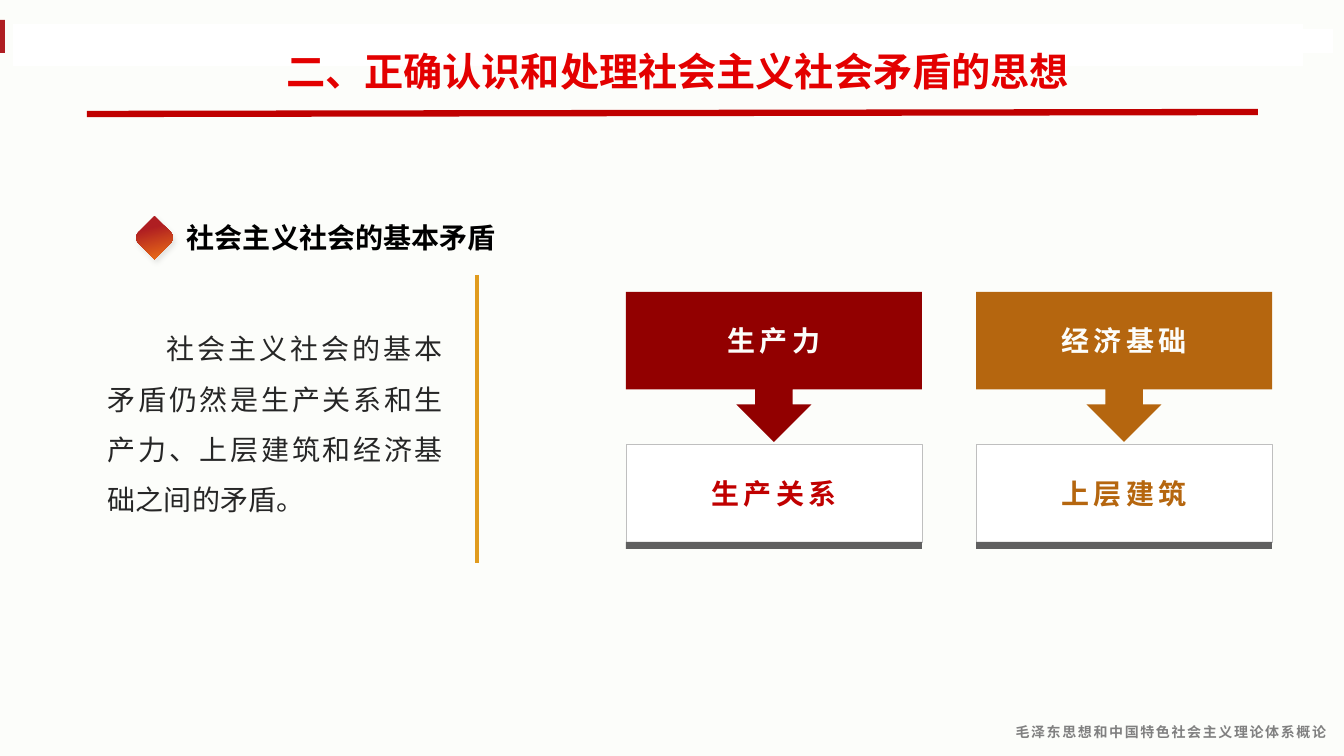
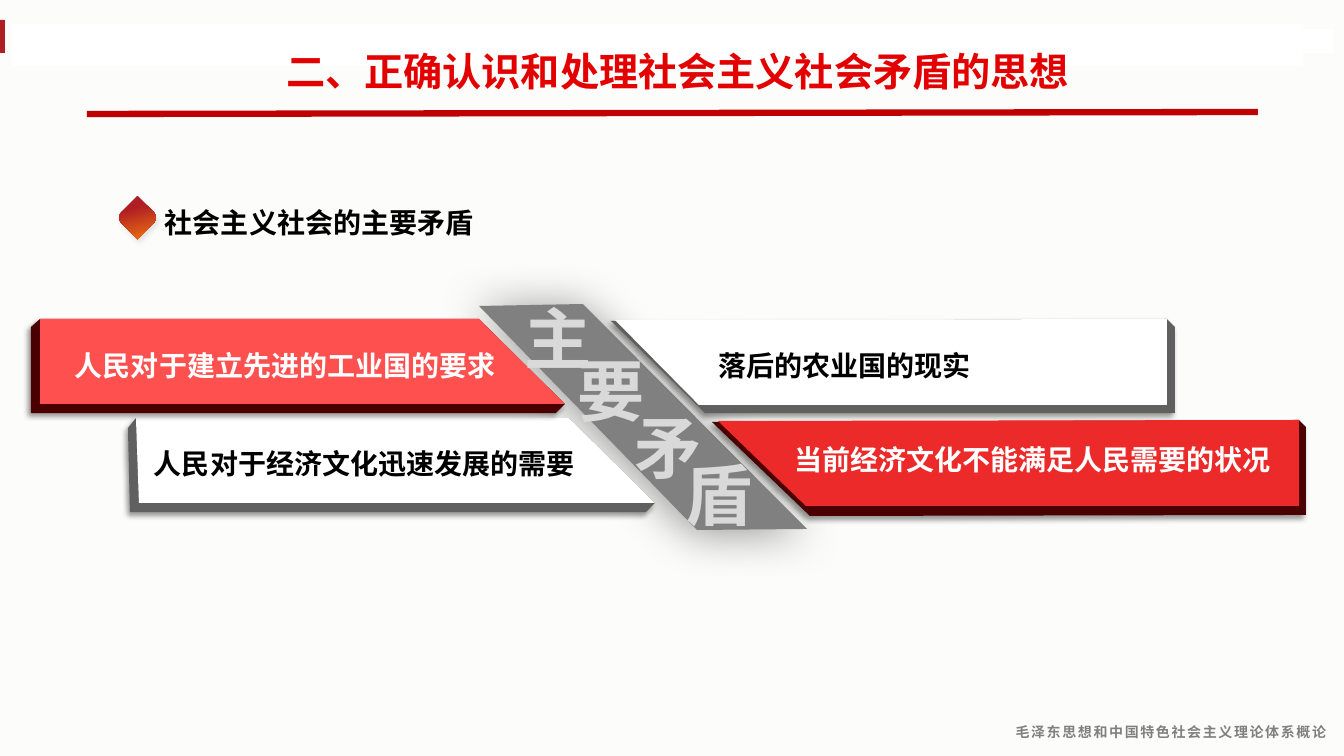
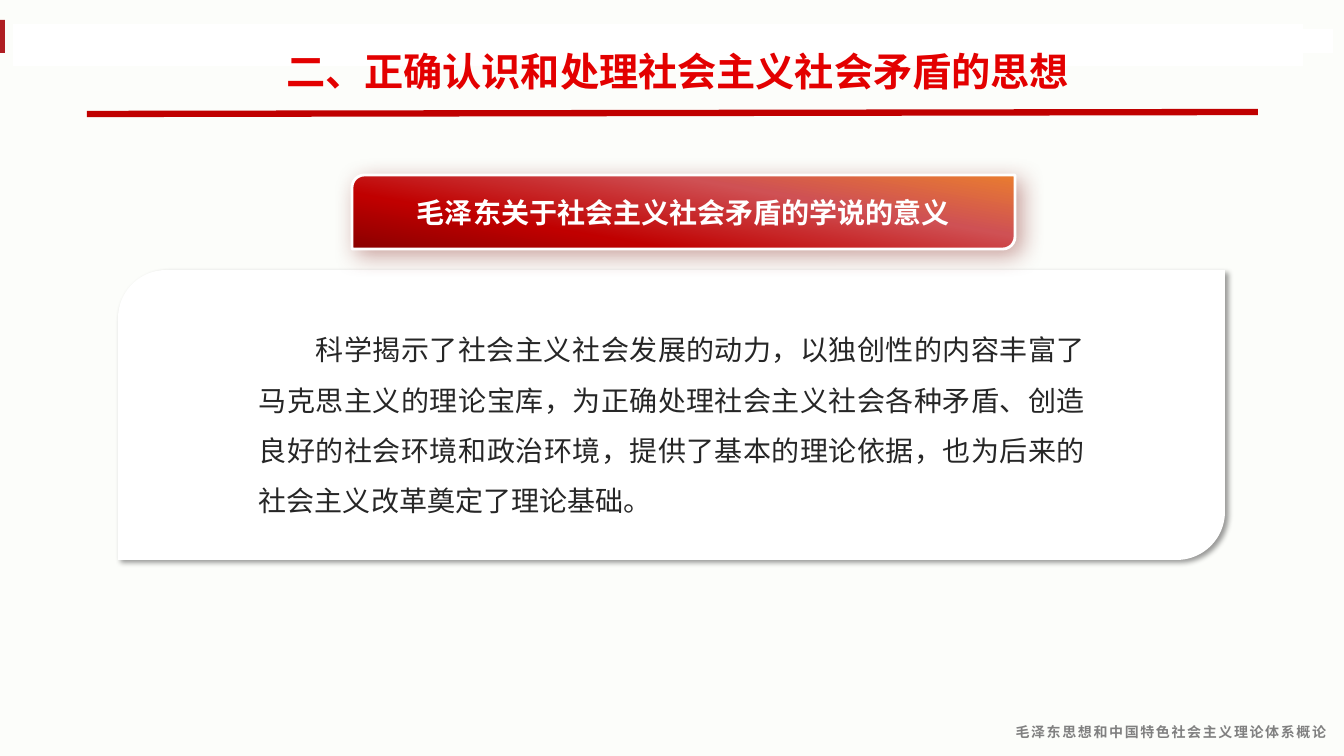
from dataclasses import dataclass

from lxml.etree import SubElement
from pptx import Presentation
from pptx.dml.color import RGBColor
from pptx.enum.shapes import MSO_CONNECTOR as Connector, MSO_SHAPE as Preset
from pptx.enum.text import MSO_ANCHOR as Anchor, PP_ALIGN as Align
from pptx.oxml.ns import qn
from pptx.util import Emu, Pt

WIDTH, HEIGHT = 1344, 756
PX = 12192000 / WIDTH


@dataclass(frozen=True)
class Theme:
    font: str = "Noto Sans CJK SC"
    # Type sizes in points
    title_size: int = 28
    text_size: int = 20
    footer_size: int = 10
    band_size: int = 48
    # Colours
    page: str = "FCFDFA"
    white: str = "FFFFFF"
    black: str = "000000"
    ink: str = "262626"
    gray: str = "808080"
    light_gray: str = "D9D9D9"
    edge_gray: str = "BFBFBF"
    side_gray: str = "606060"
    title_red: str = "E30000"
    red: str = "C00000"
    tab_red: str = "AF1E22"
    dark_red: str = "920000"
    face_coral: str = "FF5050"
    face_red: str = "EC2A2A"
    side_red: str = "4A0000"
    banner_shadow: str = "801B16"
    brown: str = "B5660F"
    gold: str = "E09B1E"
    # Gradient stops: percent, colour
    marker_stops: tuple = ((30, "AF1E22"), (94, "EB6E16"))
    banner_stops: tuple = ((0, "E97C30"), (32, "CF5154"), (71, "C00000"), (100, "8A0000"))


THEME = Theme()


def px(value):
    return Emu(round(value * PX))


def rgb(value):
    return RGBColor.from_string(value)


# Styling

def set_gradient(shape, stops, angle):
    shape.fill.gradient()
    shape.fill.gradient_angle = 360 - angle
    stop_list = shape._element.spPr.find(qn("a:gradFill")).find(qn("a:gsLst"))
    for stop in list(stop_list):
        stop_list.remove(stop)
    for position, color in stops:
        stop = SubElement(stop_list, qn("a:gs"), pos=str(position * 1000))
        SubElement(stop, qn("a:srgbClr"), val=color)


def add_shadow(shape, color, alpha, blur, distance, angle):
    effects = shape._element.spPr.find(qn("a:effectLst"))
    shadow = SubElement(effects, qn("a:outerShdw"), blurRad=str(Pt(blur)),
                        dist=str(Pt(distance)), dir=str(angle * 60000),
                        algn="ctr", rotWithShape="0")
    tint = SubElement(shadow, qn("a:srgbClr"), val=color)
    SubElement(tint, qn("a:alpha"), val=str(alpha * 1000))


def style_shape(shape, fill=None, line=None, line_width=0.5, shadow=None):
    if fill:
        shape.fill.solid()
        shape.fill.fore_color.rgb = rgb(fill)
    if line:
        shape.line.color.rgb = rgb(line)
        shape.line.width = Pt(line_width)
    else:
        shape.line.fill.background()
    shape.shadow.inherit = False
    if shadow:
        add_shadow(shape, *shadow)


def write(shape, text, color, size=THEME.text_size, bold=True, align=Align.LEFT,
          line_spacing=None, tracking=0, indent=0, wrap=True):
    frame = shape.text_frame
    frame.word_wrap = wrap
    paragraph = frame.paragraphs[0]
    paragraph.text = text
    paragraph.alignment = align
    if line_spacing:
        paragraph.line_spacing = line_spacing
    font = paragraph.font
    font.name, font.size, font.bold = THEME.font, Pt(size), bold
    font.color.rgb = rgb(color)
    properties = paragraph._p.pPr
    if indent:
        properties.set("marL", "0")
        properties.set("indent", str(px(indent)))
    defaults = properties.find(qn("a:defRPr"))
    if tracking:
        defaults.set("spc", str(round(tracking * 100)))
    SubElement(defaults, qn("a:ea"), typeface=THEME.font)


# Elements

def add_preset(slide, preset, box, **style):
    shape = slide.shapes.add_shape(preset, *map(px, box))
    style_shape(shape, **style)
    return shape


def add_text(slide, box, text, color, anchor=Anchor.TOP, **style):
    shape = slide.shapes.add_textbox(*map(px, box))
    shape.text_frame.vertical_anchor = anchor
    write(shape, text, color, **style)


def add_body(slide, box, text, indent):
    add_text(slide, box, text, THEME.ink, bold=False, align=Align.JUSTIFY,
             line_spacing=1.5, indent=indent)


def add_polygon(slide, points, fill, shadow=None):
    builder = slide.shapes.build_freeform(*points[0], scale=PX)
    builder.add_line_segments(points[1:], close=True)
    style_shape(builder.convert_to_shape(), fill=fill, shadow=shadow)


def add_line(slide, start, end, color, width):
    line = slide.shapes.add_connector(Connector.STRAIGHT, *map(px, start + end))
    line.line.color.rgb = rgb(color)
    line.line.width = Pt(width)
    SubElement(line._element.spPr, qn("a:effectLst"))


def add_heading(slide, marker_at, text_box, text):
    marker = add_preset(slide, Preset.ROUND_2_DIAG_RECTANGLE, marker_at + (31, 31),
                        shadow=(THEME.black, 9, 4, 3, 60))
    marker.adjustments[0] = 0.26
    marker.rotation = 315
    set_gradient(marker, THEME.marker_stops, 120)
    add_text(slide, text_box, text, THEME.black)


def add_pair(slide, left, upper, lower, color, lower_color):
    top, width = 292, 296
    callout = add_preset(slide, Preset.DOWN_ARROW_CALLOUT, (left, top, width, 150),
                         fill=color)
    write(callout, upper, THEME.page, align=Align.CENTER, tracking=3)
    face = add_preset(slide, Preset.RECTANGLE, (left, top + 152, width, 98),
                      fill=THEME.white, line=THEME.edge_gray)
    write(face, lower, lower_color, align=Align.CENTER, tracking=3)
    add_preset(slide, Preset.RECTANGLE, (left, top + 250, width, 7),
               fill=THEME.side_gray)


def add_block(slide, face, body, face_color, side_color):
    add_polygon(slide, body, side_color, shadow=(THEME.black, 40, 4, 3, 135))
    add_polygon(slide, face, face_color)


# Shared page frame

def add_page(presentation):
    slide = presentation.slides.add_slide(presentation.slide_layouts[6])
    add_text(slide, (924, 710, 412, 35), "毛泽东思想和中国特色社会主义理论体系概论",
             THEME.gray, size=THEME.footer_size, align=Align.RIGHT,
             line_spacing=1.5, tracking=1.2)
    add_preset(slide, Preset.RECTANGLE, (0, 20, 5, 33), fill=THEME.tab_red)
    for box in ((972, 29, 361, 24), (13, 24, 1290, 42)):
        add_preset(slide, Preset.RECTANGLE, box, fill=THEME.white)
    add_text(slide, (184, 19, 987, 82), "二、正确认识和处理社会主义社会矛盾的思想",
             THEME.title_red, size=THEME.title_size, align=Align.CENTER,
             line_spacing=1.5)
    add_line(slide, (87, 114), (1258, 112), THEME.red, 4.5)
    return slide


# Slides

def build_basic_contradiction(presentation):
    slide = add_page(presentation)
    add_heading(slide, (139, 222), (177, 216, 373, 44), "社会主义社会的基本矛盾")
    add_body(slide, (98, 310, 355, 214),
             "社会主义社会的基本矛盾仍然是生产关系和生产力、上层建筑和经济基础之间的矛盾。",
             indent=59)
    add_line(slide, (477, 275), (477, 563), THEME.gold, 2.25)
    add_pair(slide, 626, "生产力", "生产关系", THEME.dark_red, THEME.red)
    add_pair(slide, 976, "经济基础", "上层建筑", THEME.brown, THEME.brown)


def build_main_contradiction(presentation):
    slide = add_page(presentation)
    add_heading(slide, (122, 202), (155, 201, 336, 44), "社会主义社会的主要矛盾")

    # Diagonal band between the two sides
    add_polygon(slide, [(479, 306), (583, 304), (807, 529), (697, 530)],
                THEME.gray, shadow=(THEME.black, 40, 33, 3, 135))

    # Raised blocks: face outline, then outline of the solid behind it
    blocks = [
        ([(615, 320), (1167, 319), (1167, 405), (699, 405)],
         [(611, 321), (1167, 319), (1175, 327), (1175, 413), (705, 413)],
         THEME.white, THEME.side_gray),
        ([(718, 421), (1299, 420), (1299, 506), (806, 506)],
         [(712, 422), (1299, 420), (1306, 427), (1306, 515), (810, 516)],
         THEME.face_red, THEME.side_red),
        ([(136, 418), (569, 418), (655, 503), (139, 503)],
         [(136, 418), (569, 418), (655, 503), (646, 512), (130, 512), (128, 428)],
         THEME.white, THEME.side_gray),
        ([(40, 319), (479, 319), (565, 404), (40, 404)],
         [(40, 319), (479, 319), (565, 404), (556, 413), (31, 413), (31, 327)],
         THEME.face_coral, THEME.side_red),
    ]
    for block in blocks:
        add_block(slide, *block)

    # Labels, in boxes wide enough for one line each
    labels = [
        ((65, 339, 460, 48), "人民对于建立先进的工业国的要求", THEME.white, Align.LEFT),
        ((144, 437, 460, 48), "人民对于经济文化迅速发展的需要", THEME.black, Align.LEFT),
        ((771, 433, 510, 48), "当前经济文化不能满足人民需要的状况", THEME.white, Align.RIGHT),
        ((681, 339, 300, 48), "落后的农业国的现实", THEME.black, Align.RIGHT),
    ]
    for box, text, color, align in labels:
        add_text(slide, box, text, color, anchor=Anchor.BOTTOM, align=align)

    corners = [(515, 292), (568, 344), (625, 401), (676, 448)]
    for corner, character in zip(corners, "主要矛盾"):
        add_text(slide, corner + (89, 92), character, THEME.light_gray,
                 size=THEME.band_size, wrap=False)


def build_significance(presentation):
    slide = add_page(presentation)
    add_preset(slide, Preset.ROUND_2_DIAG_RECTANGLE, (118, 270, 1107, 290),
               fill=THEME.white, shadow=(THEME.black, 40, 4, 3, 45))
    add_body(slide, (249, 311, 846, 214),
             "科学揭示了社会主义社会发展的动力，以独创性的内容丰富了马克思主义的理论宝库，"
             "为正确处理社会主义社会各种矛盾、创造良好的社会环境和政治环境，提供了基本的理论依据，"
             "也为后来的社会主义改革奠定了理论基础。",
             indent=57)
    banner = add_preset(slide, Preset.ROUND_2_DIAG_RECTANGLE, (352, 175, 663, 74),
                        line=THEME.white, line_width=2,
                        shadow=(THEME.banner_shadow, 40, 16, 5, 45))
    set_gradient(banner, THEME.banner_stops, 100)
    write(banner, "毛泽东关于社会主义社会矛盾的学说的意义", THEME.white,
          align=Align.CENTER)


def main():
    presentation = Presentation()
    presentation.slide_width, presentation.slide_height = px(WIDTH), px(HEIGHT)
    background = presentation.slide_master.background.fill
    background.solid()
    background.fore_color.rgb = rgb(THEME.page)
    build_basic_contradiction(presentation)
    build_main_contradiction(presentation)
    build_significance(presentation)
    presentation.save("out.pptx")


if __name__ == "__main__":
    main()
